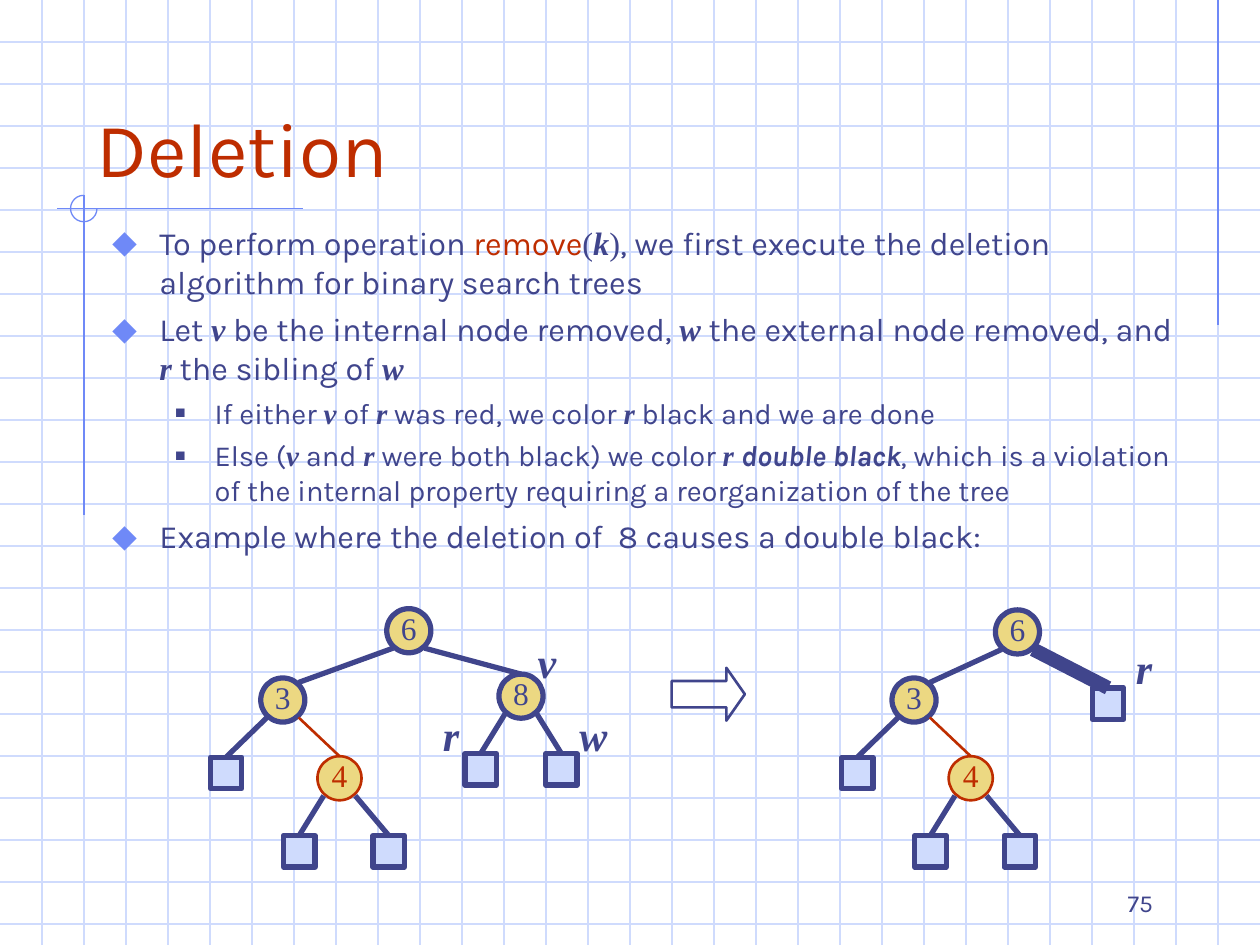
"""Build the slide on deletion in red-black trees."""
from dataclasses import dataclass
from typing import Any, NamedTuple, Optional

from lxml.etree import SubElement
from pptx import Presentation
from pptx.dml.color import RGBColor
from pptx.enum.shapes import MSO_CONNECTOR, MSO_SHAPE
from pptx.enum.text import MSO_ANCHOR, MSO_AUTO_SIZE, PP_ALIGN
from pptx.oxml.ns import qn
from pptx.util import Pt


@dataclass(frozen=True)
class Theme:
    """Colours, fonts and type sizes of the slide."""
    ink: str = "40458C"
    red: str = "BE2D00"
    accent: str = "6F89F7"
    pale: str = "CFDBFD"
    gold: str = "ECD882"
    sans: str = "Karla"
    serif: str = "Times New Roman"
    title: float = 44
    body: float = 18.5
    detail: float = 16.6
    key: float = 18
    label: float = 24
    number: float = 14


THEME = Theme()


class Span(NamedTuple):
    """A stretch of body text in one format."""
    text: str
    font: str = THEME.sans
    color: str = THEME.ink
    strong: bool = False


class Level(NamedTuple):
    """Format of one list level."""
    size: float
    margin: float
    hanging: float
    before: float
    bullet: str
    bullet_color: str
    bullet_percent: int


class Node(NamedTuple):
    """A tree node by its centre; a node without a key is external."""
    x: float
    y: float
    key: str = ""
    color: str = THEME.ink
    weight: float = 3


class Edge(NamedTuple):
    """A link from a parent to a child, ending at its top or its shoulder."""
    parent: str
    child: str
    color: str = THEME.ink
    weight: float = 3
    shoulder: bool = False


class Label(NamedTuple):
    """A letter beside a node."""
    text: str
    left: float
    top: float
    width: float


LEVELS = (
    Level(THEME.body, 27, 27, 5, "⬥", THEME.accent, 110),
    Level(THEME.detail, 58.5, 22.5, 4.5, "■", THEME.ink, 60),
)


def variable(name: str) -> Span:
    """Return a mathematical variable."""
    return Span(name, THEME.serif, strong=True)


K, V, W, R = map(variable, "kvwr")
POINTS = (
    (0, (Span("To perform operation "), Span("remove", color=THEME.red),
         Span("(", THEME.serif), K, Span(")", THEME.serif),
         Span(", we first execute the deletion algorithm for binary search trees"))),
    (0, (Span("Let "), V, Span(" be the internal node removed, "), W,
         Span(" the external node removed, and "), R, Span(" the sibling of "), W)),
    (1, (Span("If either "), V, Span(" of "), R, Span(" was red, we color "), R,
         Span(" black and we are done"))),
    (1, (Span("Else ("), V, Span(" and "), R, Span(" were both black) we color "),
         variable("r "), Span("double black", strong=True),
         Span(", which is a violation of the internal property requiring "
              "a reorganization of the tree"))),
    (0, (Span("Example where the deletion of  8 causes a double black:"),)),
)

SUBTREE_NODES = {
    "3": Node(161.6, 400, "3"),
    "4": Node(194, 444.7, "4", THEME.red, 1.5),
    "3 left": Node(129.2, 441.7),
    "4 left": Node(171, 486.4),
    "4 right": Node(222.1, 486.4),
}
SUBTREE_EDGES = (
    Edge("6", "3", shoulder=True), Edge("3", "3 left"),
    Edge("3", "4", THEME.red, 1.5), Edge("4", "4 left"), Edge("4", "4 right"),
)
BEFORE_NODES = SUBTREE_NODES | {
    "6": Node(233.6, 360.4, "6"), "8": Node(297.7, 397.8, "8"),
    "r": Node(274.7, 439.6), "w": Node(320.8, 439.6),
}
AFTER_NODES = {
    name: node._replace(x=node.x + 360.7) for name, node in SUBTREE_NODES.items()
} | {"6": Node(581.4, 361.1, "6"), "r": Node(633.2, 402.1)}
BEFORE_EDGES = SUBTREE_EDGES + (Edge("6", "8"), Edge("8", "r"), Edge("8", "w"))
AFTER_EDGES = SUBTREE_EDGES + (Edge("6", "r", weight=8),)
LABELS = (
    Label("v", 300.2, 360, 24.5), Label("r", 245.5, 401.8, 24.5),
    Label("w", 324, 401.8, 30.2), Label("r", 635.8, 363.6, 36),
)


def add_text(paragraph: Any, text: str, *, size: float, font: str = THEME.sans,
             color: str = THEME.ink, strong: bool = False) -> None:
    """Add a formatted run to a paragraph."""
    run = paragraph.add_run()
    run.text = text
    run.font.size, run.font.name = Pt(size), font
    run.font.bold = run.font.italic = strong
    run.font.color.rgb = RGBColor.from_string(color)


def place(shape: Any, left: float, top: float, width: float, height: float) -> None:
    """Move a placeholder to its place, in front of what is drawn so far."""
    shape.left, shape.top, shape.width, shape.height = map(Pt, (left, top, width, height))
    shape.text_frame.auto_size = MSO_AUTO_SIZE.NONE
    shape.element.getparent().append(shape.element)


def add_line(slide: Any, start: tuple[float, float], end: tuple[float, float],
             color: str, weight: float = 0.75) -> Any:
    """Draw a straight line without a shadow."""
    line = slide.shapes.add_connector(MSO_CONNECTOR.STRAIGHT, *map(Pt, start + end))
    line.line.color.rgb = RGBColor.from_string(color)
    line.line.width = Pt(weight)
    SubElement(line.element.spPr, qn("a:effectLst"))
    return line


def add_outline(slide: Any, kind: MSO_SHAPE, box: tuple[float, float, float, float],
                color: str, weight: float, fill: Optional[str] = None) -> Any:
    """Draw a preset shape with an outline and an optional fill."""
    shape = slide.shapes.add_shape(kind, *map(Pt, box))
    shape.shadow.inherit = False
    shape.line.color.rgb = RGBColor.from_string(color)
    shape.line.width = Pt(weight)
    if fill:
        shape.fill.solid()
        shape.fill.fore_color.rgb = RGBColor.from_string(fill)
    else:
        shape.fill.background()
    return shape


def add_box(slide: Any, box: tuple[float, float, float, float], text: str,
            alignment: PP_ALIGN, anchor: MSO_ANCHOR, **text_format: Any) -> None:
    """Add a text box with one line."""
    frame = slide.shapes.add_textbox(*map(Pt, box)).text_frame
    frame.word_wrap, frame.vertical_anchor = True, anchor
    frame.paragraphs[0].alignment = alignment
    add_text(frame.paragraphs[0], text, **text_format)


def add_node(slide: Any, node: Node) -> Any:
    """Draw an internal node as a circle or an external one as a square."""
    side = 25.2 if node.key else 18
    kind, fill = ((MSO_SHAPE.OVAL, THEME.gold) if node.key
                  else (MSO_SHAPE.RECTANGLE, THEME.pale))
    box = (node.x - side / 2, node.y - side / 2, side, side)
    shape = add_outline(slide, kind, box, node.color, node.weight, fill)
    if node.key:
        frame = shape.text_frame
        frame.margin_left = frame.margin_right = frame.margin_top = 0
        frame.margin_bottom = Pt(3.6)
        frame.word_wrap, frame.vertical_anchor = False, MSO_ANCHOR.MIDDLE
        frame.paragraphs[0].alignment = PP_ALIGN.CENTER
        add_text(frame.paragraphs[0], node.key, size=THEME.key,
                 font=THEME.serif, color=node.color)
    return shape


def add_tree(slide: Any, nodes: dict[str, Node], edges: tuple[Edge, ...]) -> None:
    """Draw the nodes of a tree and link them."""
    shapes = {name: add_node(slide, node) for name, node in nodes.items()}
    for edge in edges:
        parent, child = nodes[edge.parent], nodes[edge.child]
        reach = 9 if child.x > parent.x else -9
        line = add_line(slide, (parent.x + reach, parent.y + 10),
                        (child.x - reach, child.y - 10), edge.color, edge.weight)
        if not edge.shoulder:
            line.end_connect(shapes[edge.child], 0)


def add_backdrop(slide: Any) -> None:
    """Draw the squared paper and its ornaments."""
    for y in range(24, 540, 24):
        add_line(slide, (0, y), (720, y), THEME.pale)
    for x in range(24, 720, 24):
        add_line(slide, (x, 0), (x, 540), THEME.pale)
    for start, end in (((696, 0), (696, 186)), ((173, 119.3), (32.4, 119.3)),
                       ((48, 111.6), (48, 294.5))):
        add_line(slide, start, end, THEME.accent)
    arc = add_outline(slide, MSO_SHAPE.ARC, (40.3, 111.6, 15.1, 15.1), THEME.accent, 0.75)
    arc.adjustments[0], arc.adjustments[1] = 0, 162


def fill_list(frame: Any) -> None:
    """Write the bulleted list."""
    for index, (depth, spans) in enumerate(POINTS):
        level = LEVELS[depth]
        paragraph = frame.add_paragraph() if index else frame.paragraphs[0]
        paragraph.level = depth
        paragraph.space_before = Pt(level.before if index else 0)
        properties = paragraph._p.get_or_add_pPr()
        properties.set("marL", str(Pt(level.margin)))
        properties.set("indent", str(-Pt(level.hanging)))
        color = SubElement(properties, qn("a:buClr"))
        SubElement(color, qn("a:srgbClr"), val=level.bullet_color)
        SubElement(properties, qn("a:buSzPct"), val=str(level.bullet_percent * 1000))
        SubElement(properties, qn("a:buChar"), char=level.bullet)
        for span in spans:
            add_text(paragraph, size=level.size, **span._asdict())


def main() -> None:
    """Build and save the presentation."""
    presentation = Presentation()
    presentation.slide_width, presentation.slide_height = Pt(720), Pt(540)
    slide = presentation.slides.add_slide(presentation.slide_layouts[1])
    add_backdrop(slide)

    title, body = slide.shapes.title, slide.placeholders[1]
    place(title, 48, 24, 612, 90)
    title.text_frame.vertical_anchor = MSO_ANCHOR.BOTTOM
    title.text_frame.paragraphs[0].alignment = PP_ALIGN.LEFT
    add_text(title.text_frame.paragraphs[0], "Deletion", size=THEME.title, color=THEME.red)
    place(body, 56.9, 123.8, 630, 224)
    fill_list(body.text_frame)

    add_tree(slide, BEFORE_NODES, BEFORE_EDGES)
    arrow = add_outline(slide, MSO_SHAPE.RIGHT_ARROW, (383.8, 381.6, 41.8, 30.2),
                        THEME.ink, 1.5)
    arrow.adjustments[0], arrow.adjustments[1] = 0.5, 0.35
    add_tree(slide, AFTER_NODES, AFTER_EDGES)
    for label in LABELS:
        add_box(slide, (label.left, label.top, label.width, 36), label.text,
                PP_ALIGN.CENTER, MSO_ANCHOR.TOP, size=THEME.label,
                font=THEME.serif, strong=True)
    add_box(slide, (516, 492, 150, 36), "75", PP_ALIGN.RIGHT, MSO_ANCHOR.BOTTOM,
            size=THEME.number)
    presentation.save("out.pptx")


if __name__ == "__main__":
    main()
